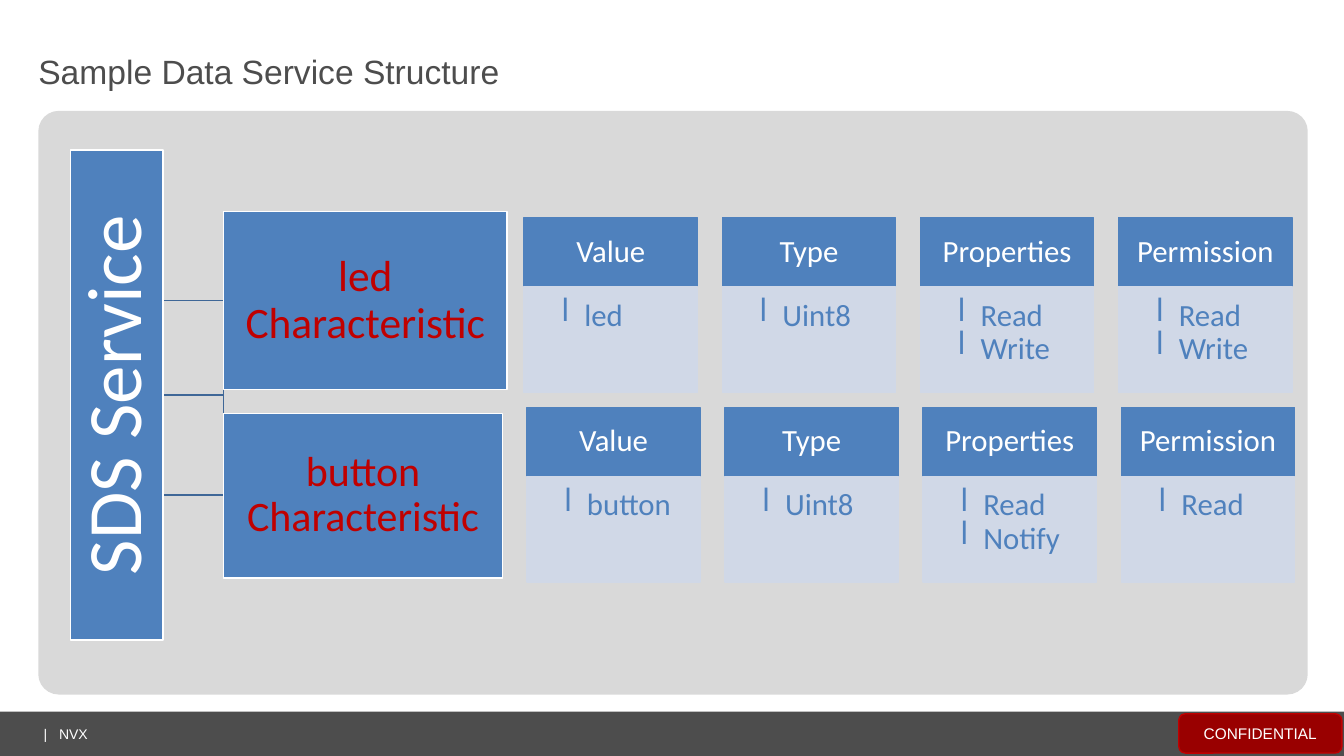
"""Build the slide on the structure of the sample data service."""
from dataclasses import dataclass

from lxml.etree import SubElement
from pptx import Presentation
from pptx.dml.color import RGBColor
from pptx.enum.shapes import MSO_CONNECTOR, MSO_SHAPE
from pptx.enum.text import MSO_ANCHOR, MSO_AUTO_SIZE, PP_ALIGN
from pptx.oxml.ns import qn
from pptx.shapes.autoshape import Shape
from pptx.slide import Slide
from pptx.text.text import TextFrame
from pptx.util import Pt

WHITE = RGBColor(0xFF, 0xFF, 0xFF)
CHARCOAL = RGBColor(0x4D, 0x4D, 0x4D)
PANEL_GREY = RGBColor(0xD9, 0xD9, 0xD9)
BLUE = RGBColor(0x4F, 0x81, 0xBD)
PALE_BLUE = RGBColor(0xD0, 0xD8, 0xE7)
LINE_BLUE = RGBColor(0x3F, 0x67, 0x97)
RED = RGBColor(0xC0, 0x00, 0x00)
BADGE_RED = RGBColor(0x99, 0x00, 0x00)

CARD_WIDTH = 123.9
CARD_PITCH = 141.6
HEADER_HEIGHT = 49.2
LIST_HEIGHT = 75.6


@dataclass(frozen=True)
class Box:
    """Position and size in points."""
    left: float
    top: float
    width: float
    height: float


@dataclass(frozen=True)
class Characteristic:
    """A characteristic with the start of its row of cards."""
    label: str
    size: float
    box: Box
    cards_left: float
    cards_top: float
    fields: dict[str, list[str]]


CHARACTERISTICS = [
    Characteristic("led Characteristic", 31, Box(159.8, 151.2, 202.6, 126.9), 374.6, 155.6,
                   {"Value": ["led"], "Type": ["Uint8"],
                    "Properties": ["Read", "Write"], "Permission": ["Read", "Write"]}),
    Characteristic("button Characteristic", 30, Box(159.8, 295.3, 199.4, 117.5), 376.5, 291,
                   {"Value": ["button"], "Type": ["Uint8"],
                    "Properties": ["Read", "Notify"], "Permission": ["Read"]}),
]


def write_text(frame: TextFrame, lines: list[str], *, size: float, color: RGBColor,
               font: str = "Calibri", align: PP_ALIGN = PP_ALIGN.CENTER,
               anchor: MSO_ANCHOR = MSO_ANCHOR.MIDDLE,
               insets: tuple[float, float, float, float] = (0, 0, 0, 0),
               spacing: float = 1.0, bullet: str = "", tab: float = 0) -> None:
    """Fill a text frame with equally formatted paragraphs."""
    frame.word_wrap = True
    frame.auto_size = MSO_AUTO_SIZE.NONE
    frame.vertical_anchor = anchor
    frame.margin_left, frame.margin_top, frame.margin_right, frame.margin_bottom = map(Pt, insets)
    for index, line in enumerate(lines):
        para = frame.paragraphs[0] if index == 0 else frame.add_paragraph()
        properties = para._p.get_or_add_pPr()
        if bullet:
            para.level = 1
            properties.set("marL", str(Pt(33.8)))
            properties.set("indent", str(Pt(-16.6)))
            bullet_color = SubElement(properties, qn("a:buClr"))
            SubElement(bullet_color, qn("a:srgbClr"), val=str(color))
            SubElement(properties, qn("a:buChar"), char=bullet)
        if tab:
            tabs = SubElement(properties, qn("a:tabLst"))
            SubElement(tabs, qn("a:tab"), pos=str(Pt(tab)), algn="l")
        para.alignment = align
        para.line_spacing = spacing
        para.space_before = para.space_after = Pt(0)
        span = para.add_run()
        span.text = line
        span.font.name = font
        span.font.size = Pt(size)
        span.font.color.rgb = color


def add_block(page: Slide, box: Box, fill: RGBColor, line: RGBColor | None = None,
              corner: float = 0) -> Shape:
    """Draw a plain or rounded rectangle."""
    kind = MSO_SHAPE.ROUNDED_RECTANGLE if corner else MSO_SHAPE.RECTANGLE
    block = page.shapes.add_shape(kind, Pt(box.left), Pt(box.top), Pt(box.width), Pt(box.height))
    block.shadow.inherit = False
    if corner:
        block.adjustments[0] = corner
    block.fill.solid()
    block.fill.fore_color.rgb = fill
    if line is None:
        block.line.fill.background()
    else:
        block.line.color.rgb = line
        block.line.width = Pt(1)
    return block


def add_line(page: Slide, start: tuple[float, float], end: tuple[float, float]) -> None:
    """Draw a thin straight connector."""
    connector = page.shapes.add_connector(
        MSO_CONNECTOR.STRAIGHT, *map(Pt, start), *map(Pt, end))
    connector.line.color.rgb = LINE_BLUE
    connector.line.width = Pt(1)
    SubElement(connector.element.spPr, qn("a:effectLst"))


def add_characteristic(page: Slide, item: Characteristic) -> None:
    """Draw a characteristic and its row of cards."""
    block = add_block(page, item.box, BLUE, WHITE)
    write_text(block.text_frame, [item.label], size=item.size, color=RED,
               insets=(1.4, 1.4, 1.4, 1.4), spacing=0.9)
    for column, (heading, values) in enumerate(item.fields.items()):
        left = item.cards_left + column * CARD_PITCH
        header = add_block(page, Box(left, item.cards_top, CARD_WIDTH, HEADER_HEIGHT), BLUE, BLUE)
        write_text(header.text_frame, [heading], size=22, color=WHITE,
                   insets=(12, 7, 12, 7), spacing=0.9)
        list_box = Box(left, item.cards_top + HEADER_HEIGHT, CARD_WIDTH, LIST_HEIGHT)
        card = add_block(page, list_box, PALE_BLUE, PALE_BLUE)
        write_text(card.text_frame, values, size=22, color=BLUE, align=PP_ALIGN.LEFT,
                   anchor=MSO_ANCHOR.TOP, insets=(9.2, 9.2, 12.3, 13.8), spacing=0.9, bullet="l")


def add_frame(page: Slide) -> None:
    """Draw the title, the panel and the footer."""
    title = page.shapes.title
    title.left, title.top, title.width, title.height = map(Pt, (27.4, 22.3, 907.2, 56.9))
    write_text(title.text_frame, ["Sample Data Service Structure"], size=24, color=CHARCOAL,
               font="Arial", align=PP_ALIGN.LEFT)
    add_block(page, Box(0, 508.3, 960.5, 31.7), CHARCOAL)
    badge = add_block(page, Box(842.4, 509.8, 116.6, 28.1), BADGE_RED, RED, corner=0.17)
    write_text(badge.text_frame, ["CONFIDENTIAL"], size=11, color=WHITE, font="Arial",
               insets=(7.2, 3.6, 7.2, 3.6))
    footer = page.shapes.add_textbox(Pt(31.2), Pt(513.4), Pt(123.6), Pt(20.9))
    write_text(footer.text_frame, ["|\tNVX"], size=10, color=WHITE, font="Arial",
               align=PP_ALIGN.LEFT, tab=11)
    add_block(page, Box(27.4, 79.2, 907.2, 416.9), PANEL_GREY, corner=0.035)


def main() -> None:
    """Assemble and save the deck."""
    deck = Presentation()
    deck.slide_width, deck.slide_height = Pt(960.5), Pt(540)
    page = deck.slides.add_slide(deck.slide_layouts[5])
    add_frame(page)
    for height in (214.6, 282.2, 353.5):
        add_line(page, (116.6, height), (159.8, height))
    add_line(page, (159.8, 214.6), (159.8, 353.5))
    service = add_block(page, Box(-91.4, 249.1, 349.9, 66.2), BLUE, WHITE)
    service.rotation = 270
    write_text(service.text_frame, ["SDS Service"], size=55, color=WHITE,
               insets=(2.9, 2.9, 2.9, 2.9), spacing=0.9)
    for item in CHARACTERISTICS:
        add_characteristic(page, item)
    deck.save("out.pptx")


if __name__ == "__main__":
    main()
